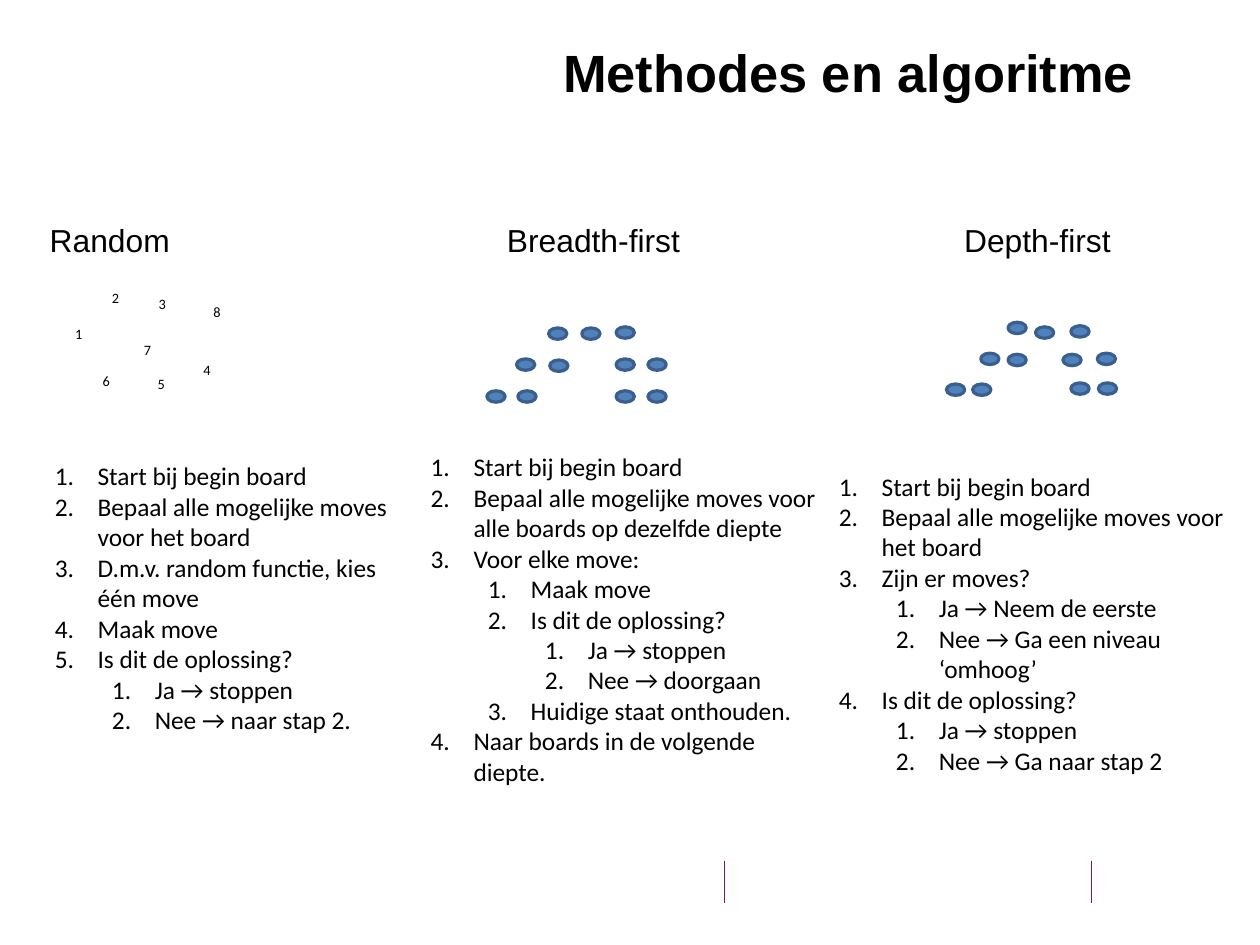
from lxml import etree
from pptx import Presentation
from pptx.dml.color import RGBColor
from pptx.enum.shapes import MSO_CONNECTOR, MSO_SHAPE
from pptx.enum.text import MSO_ANCHOR, PP_ALIGN
from pptx.oxml.ns import qn
from pptx.util import Pt

COLORS = {"text": "000000", "node": "4F81BD", "node_line": "3A5F8C", "mark": "751B68"}
NUMBER_INDENT, LEVEL_STEP = 27, 36
NODE_WIDTH, NODE_HEIGHT = 11.5, 7.2

# Headings: text, left
HEADINGS = [("Random", 31.3), ("Breadth-first", 319.3), ("Depth-first", 607.3)]

# Steps: box (left, top, width, height), then (level, text)
STEPS = [
    ((27.4, 286.6, 236.9, 181.4), [
        (0, "Start bij begin board"),
        (0, "Bepaal alle mogelijke moves voor het board"),
        (0, "D.m.v. random functie, kies één move"),
        (0, "Maak move"),
        (0, "Is dit de oplossing?"),
        (1, "Ja → stoppen"),
        (1, "Nee → naar stap 2."),
    ]),
    ((264.2, 280.8, 260.6, 220.3), [
        (0, "Start bij begin board"),
        (0, "Bepaal alle mogelijke moves voor alle boards op dezelfde diepte"),
        (0, "Voor elke move:"),
        (1, "Maak move"),
        (1, "Is dit de oplossing?"),
        (2, "Ja → stoppen"),
        (2, "Nee → doorgaan"),
        (1, "Huidige staat onthouden."),
        (0, "Naar boards in de volgende diepte."),
    ]),
    ((521.3, 293, 272.2, 239.8), [
        (0, "Start bij begin board"),
        (0, "Bepaal alle mogelijke moves voor het board"),
        (0, "Zijn er moves?"),
        (1, "Ja → Neem de eerste"),
        (1, "Nee → Ga een niveau ‘omhoog’"),
        (0, "Is dit de oplossing?"),
        (1, "Ja → stoppen"),
        (1, "Nee → Ga naar stap 2"),
    ]),
]

# Left and top of the tree nodes and of the random numbers 1 to 8
BREADTH_NODES = [
    (345.6, 206.6), (366.5, 206.6), (388.1, 205.9),
    (325.4, 226.1), (346.3, 226.8), (388.1, 226.1), (408.2, 226.1),
    (306.7, 246.2), (326.2, 246.2), (408.2, 246.2), (388.1, 246.2),
]
DEPTH_NODES = [
    (635, 203), (617.8, 222.5), (596.2, 241.9), (612.7, 241.9),
    (635, 223.2), (652.3, 205.9), (674.6, 205.2), (669.6, 223.2),
    (674.6, 241.2), (691.9, 241.2), (691.2, 222.5),
]
RANDOM_NUMBERS = [
    (43.9, 201.6), (67, 178.6), (96.5, 182.2), (124.6, 223.9),
    (95.8, 232.6), (61.2, 231.1), (87.1, 211.7), (131, 187.2),
]


def color(name):
    return RGBColor.from_string(COLORS[name])


def style(para, font_name, size, bold=False):
    for span in para.runs:
        font = span.font
        font.name, font.size, font.bold = font_name, Pt(size), bold
        font.color.rgb = color("text")


def set_frame(frame, side=0, edge=0):
    frame.word_wrap = True
    frame.vertical_anchor = MSO_ANCHOR.TOP
    frame.margin_left = frame.margin_right = Pt(side)
    frame.margin_top = frame.margin_bottom = Pt(edge)


def add_box(page, left, top, width, height, side=0, edge=0):
    box = page.shapes.add_textbox(Pt(left), Pt(top), Pt(width), Pt(height))
    set_frame(box.text_frame, side, edge)
    return box.text_frame


def set_title(page, text):
    title = page.shapes.title
    title.left, title.top, title.width, title.height = Pt(0), Pt(25.2), Pt(714.2), Pt(99.4)
    frame = title.text_frame
    set_frame(frame)
    frame.text = text
    para = frame.paragraphs[0]
    para.alignment = PP_ALIGN.RIGHT
    style(para, "Arial", 33, bold=True)


def add_heading(page, text, left):
    frame = add_box(page, left, 139, 140, 24)
    frame.text = text
    style(frame.paragraphs[0], "Arial", 20)


def add_steps(page, place, steps):
    frame = add_box(page, *place, side=7.2, edge=3.6)
    frame.text = "\n".join(text for level, text in steps)
    for para, (level, text) in zip(frame.paragraphs, steps):
        para.level = level
        props = para._p.get_or_add_pPr()
        props.set("marL", str(Pt(NUMBER_INDENT + level * LEVEL_STEP)))
        props.set("indent", str(Pt(-NUMBER_INDENT)))
        etree.SubElement(props, qn("a:buFont"), typeface="+mj-lt")
        etree.SubElement(props, qn("a:buAutoNum"), type="arabicPeriod")
        style(para, "Calibri", 16)


def add_number(page, number, left, top):
    frame = add_box(page, left, top, 11.5, 18, edge=3.6)
    frame.text = str(number)
    para = frame.paragraphs[0]
    para.alignment = PP_ALIGN.CENTER
    style(para, "Calibri", 9)


def add_node(page, left, top):
    node = page.shapes.add_shape(
        MSO_SHAPE.OVAL, Pt(left), Pt(top), Pt(NODE_WIDTH), Pt(NODE_HEIGHT))
    node.shadow.inherit = False
    node.fill.solid()
    node.fill.fore_color.rgb = color("node")
    node.line.color.rgb = color("node_line")
    node.line.width = Pt(2)


def add_footer_mark(page, left):
    mark = page.shapes.add_connector(
        MSO_CONNECTOR.STRAIGHT, Pt(left), Pt(542.2), Pt(left), Pt(568.8))
    mark.line.color.rgb = color("mark")
    mark.line.width = Pt(0.75)
    etree.SubElement(mark._element.spPr, qn("a:effectLst"))


def main():
    deck = Presentation()
    deck.slide_width, deck.slide_height = Pt(793.7), Pt(595.3)
    page = deck.slides.add_slide(deck.slide_layouts[5])

    # Footer marks and title
    for left in (687.6, 456.5):
        add_footer_mark(page, left)
    set_title(page, "Methodes en algoritme")

    # Three methods
    for text, left in HEADINGS:
        add_heading(page, text, left)
    for place, steps in STEPS:
        add_steps(page, place, steps)

    # Search order diagrams
    for left, top in BREADTH_NODES + DEPTH_NODES:
        add_node(page, left, top)
    for number, (left, top) in enumerate(RANDOM_NUMBERS, 1):
        add_number(page, number, left, top)

    deck.save("out.pptx")


if __name__ == "__main__":
    main()
